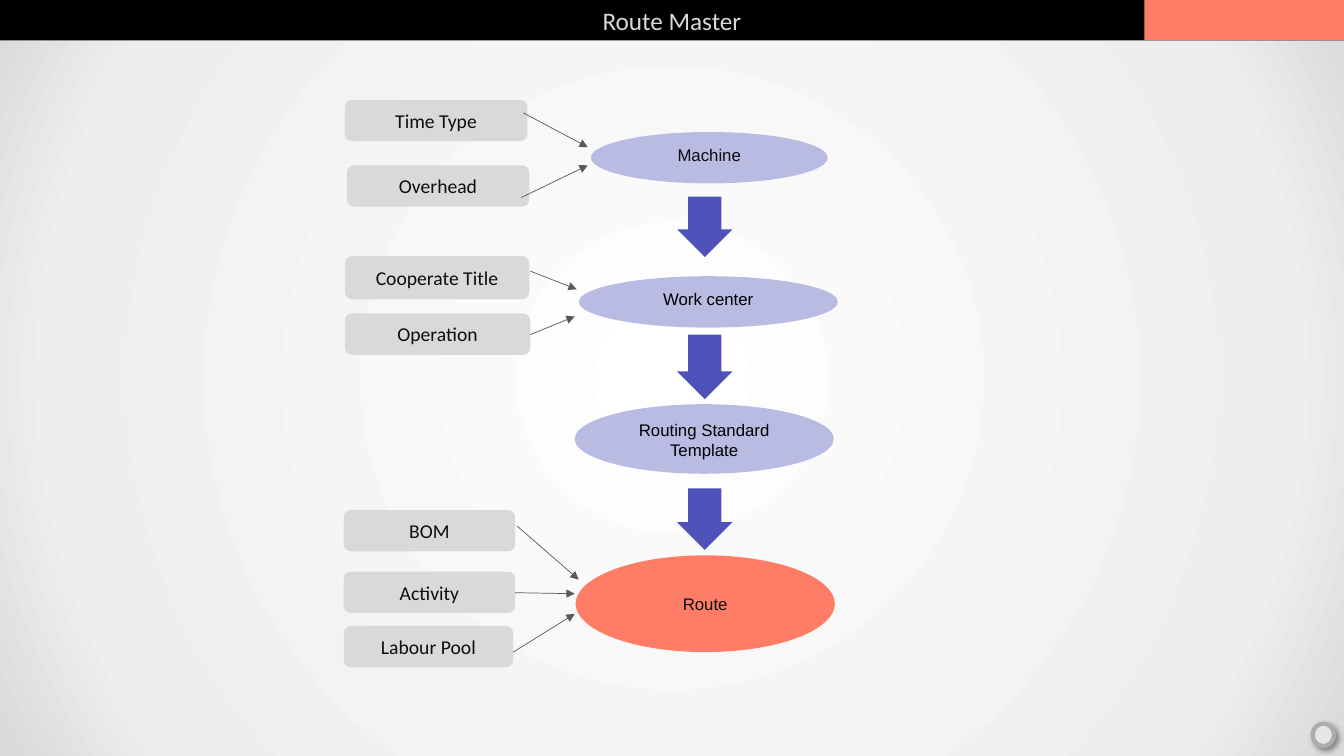
"""Build the Route Master flow slide."""
from dataclasses import dataclass

import lxml.etree
import pptx
import pptx.dml.color
import pptx.enum.shapes
import pptx.enum.text
import pptx.oxml
import pptx.oxml.ns
import pptx.util

Inches = pptx.util.Inches
Shapes = pptx.enum.shapes.MSO_SHAPE
Anchor = pptx.enum.text.MSO_ANCHOR

COLOURS = {
    "black": "000000", "ink": "0D0D0D", "grey": "D9D9D9", "lilac": "B9BBE3",
    "coral": "FF7D66", "indigo": "4D51B8", "connector": "595959",
    "white": "FFFFFF", "mist": "EEEEEE", "button": "E7E6E6", "rim": "AFABAB",
}
ARROW_CENTRE = 6.99
ARROW_BREADTH = 0.55


@dataclass
class Stage:
    text: str
    left: float
    top: float
    width: float
    height: float
    fill: str = "lilac"
    ink: str = "black"
    anchor: Anchor = Anchor.TOP


@dataclass
class Master:
    """An input box with the connector that leads from it to a stage."""
    text: str
    left: float
    top: float
    width: float
    height: float
    start: tuple[float, float]
    end: tuple[float, float]


@dataclass
class FlowArrow:
    middle: float
    length: float


STAGES = [
    Stage("Machine", 5.86, 1.31, 2.35, 0.51, ink="ink"),
    Stage("Work center", 5.74, 2.74, 2.57, 0.51),
    Stage("Routing Standard Template", 5.7, 4.01, 2.57, 0.69),
    Stage("Route", 5.71, 5.51, 2.57, 0.96, "coral", "ink", Anchor.MIDDLE),
]
MASTERS = [
    Master("Time Type", 3.42, 0.99, 1.81, 0.41, (5.19, 1.12), (5.83, 1.46)),
    Master("Overhead", 3.44, 1.64, 1.81, 0.41, (5.17, 1.96), (5.83, 1.64)),
    Master("Cooperate Title", 3.42, 2.54, 1.83, 0.43, (5.26, 2.69), (5.72, 2.87)),
    Master("Operation", 3.42, 3.11, 1.84, 0.41, (5.26, 3.32), (5.7, 3.14)),
    Master("BOM", 3.41, 5.06, 1.7, 0.41, (5.13, 5.22), (5.74, 5.75)),
    Master("Activity", 3.41, 5.67, 1.7, 0.41, (5.11, 5.88), (5.7, 5.89)),
    Master("Labour Pool", 3.41, 6.21, 1.68, 0.41, (5.09, 6.47), (5.7, 6.09)),
]
FLOW_ARROWS = [FlowArrow(2.25, 0.6), FlowArrow(3.64, 0.64), FlowArrow(5.15, 0.61)]


def colour(name: str) -> pptx.dml.color.RGBColor:
    """Return the named colour."""
    return pptx.dml.color.RGBColor.from_string(COLOURS[name])


def add_xml(parent, markup: str) -> None:
    """Append an element written in the drawing namespace."""
    name, rest = markup[1:].split(" ", 1) if " " in markup else (markup[1:-2], "/>")
    declaration = pptx.oxml.ns.nsdecls("a")
    parent.append(pptx.oxml.parse_xml(f"<{name} {declaration} {rest}"))


def write_text(shape, text: str, *, font: str, size: float, ink: str,
               anchor: Anchor = Anchor.MIDDLE, inset: float | None = None) -> None:
    """Put centred, formatted text in a shape."""
    frame = shape.text_frame
    frame.text = text
    frame.word_wrap = True
    frame.auto_size = pptx.enum.text.MSO_AUTO_SIZE.NONE
    frame.vertical_anchor = anchor
    if inset is not None:
        frame.margin_left = frame.margin_right = Inches(inset)
        frame.margin_top = frame.margin_bottom = Inches(inset)
    paragraph = frame.paragraphs[0]
    paragraph.alignment = pptx.enum.text.PP_ALIGN.CENTER
    run = paragraph.runs[0]
    run.font.name = font
    run.font.size = pptx.util.Pt(size)
    run.font.color.rgb = colour(ink)


def add_box(slide, kind: Shapes, left: float, top: float,
            width: float, height: float, fill: str):
    """Add a plain filled shape without outline or shadow."""
    shape = slide.shapes.add_shape(
        kind, Inches(left), Inches(top), Inches(width), Inches(height))
    shape.shadow.inherit = False
    shape.fill.solid()
    shape.fill.fore_color.rgb = colour(fill)
    shape.line.fill.background()
    return shape


def paint_background(slide) -> None:
    """Fill the background with a circular gradient."""
    fill = slide.background.fill
    fill.gradient()
    gradient = slide.background._cSld.bg.bgPr.find(pptx.oxml.ns.qn("a:gradFill"))
    for child in list(gradient):
        gradient.remove(child)
    stops = "".join(
        f'<a:gs pos="{position * 1000}"><a:srgbClr val="{COLOURS[name]}"/></a:gs>'
        for position, name in ((0, "white"), (81, "mist"), (100, "grey")))
    add_xml(gradient, f"<a:gsLst >{stops}</a:gsLst>")
    add_xml(gradient, '<a:path path="circle"><a:fillToRect l="50000" t="50000" '
                      'r="50000" b="50000"/></a:path>')


def add_title(slide, text: str) -> None:
    """Turn the title placeholder into the header bar."""
    title = slide.shapes.title
    title.left, title.top = Inches(0), Inches(0)
    title.width, title.height = Inches(13.33), Inches(0.4)
    title.fill.solid()
    title.fill.fore_color.rgb = colour("black")
    write_text(title, text, font="Calibri", size=18, ink="grey")


def add_stage(slide, stage: Stage) -> None:
    """Draw one oval of the main flow."""
    shape = add_box(slide, Shapes.OVAL, stage.left, stage.top,
                    stage.width, stage.height, stage.fill)
    write_text(shape, stage.text, font="Arial", size=12, ink=stage.ink,
               anchor=stage.anchor)


def add_master(slide, master: Master) -> None:
    """Draw one input box and its connector."""
    shape = add_box(slide, Shapes.ROUNDED_RECTANGLE, master.left, master.top,
                    master.width, master.height, "grey")
    write_text(shape, master.text, font="Calibri", size=14, ink="ink", inset=0.03)
    connector = slide.shapes.add_connector(
        pptx.enum.shapes.MSO_CONNECTOR.STRAIGHT,
        *(Inches(value) for value in master.start + master.end))
    connector.line.color.rgb = colour("connector")
    connector.line.width = pptx.util.Pt(0.5)
    add_xml(connector.line._get_or_add_ln(), '<a:tailEnd type="triangle"/>')
    add_xml(connector._element.spPr, "<a:effectLst/>")


def add_flow_arrow(slide, arrow: FlowArrow) -> None:
    """Draw one block arrow pointing down."""
    shape = add_box(slide, Shapes.RIGHT_ARROW, ARROW_CENTRE - arrow.length / 2,
                    arrow.middle - ARROW_BREADTH / 2, arrow.length,
                    ARROW_BREADTH, "indigo")
    shape.rotation = 90
    shape.adjustments[0] = 0.6
    shape.adjustments[1] = 0.5


def add_button(slide) -> None:
    """Draw the shaded ring in the bottom corner."""
    button = add_box(slide, Shapes.OVAL, 13.02, 7.18, 0.21, 0.22, "button")
    button.line.color.rgb = colour("rim")
    button.line.width = pptx.util.Pt(3)
    effects = button._element.spPr.find(pptx.oxml.ns.qn("a:effectLst"))
    add_xml(effects, f'<a:outerShdw blurRad="{pptx.util.Pt(4)}" '
                     f'dist="{pptx.util.Pt(3)}" dir="2700000"><a:srgbClr '
                     f'val="{COLOURS["black"]}"><a:alpha val="40000"/>'
                     '</a:srgbClr></a:outerShdw>')


def main() -> None:
    """Assemble and save the slide."""
    presentation = pptx.Presentation()
    presentation.slide_width = Inches(13.33)
    presentation.slide_height = Inches(7.5)
    slide = presentation.slides.add_slide(presentation.slide_layouts[5])
    paint_background(slide)
    add_title(slide, "Route Master")
    add_button(slide)
    for stage in STAGES:
        add_stage(slide, stage)
    for master in MASTERS:
        add_master(slide, master)
    for arrow in FLOW_ARROWS:
        add_flow_arrow(slide, arrow)
    add_box(slide, Shapes.RECTANGLE, 11.35, 0, 1.98, 0.4, "coral")
    presentation.save("out.pptx")


if __name__ == "__main__":
    main()
